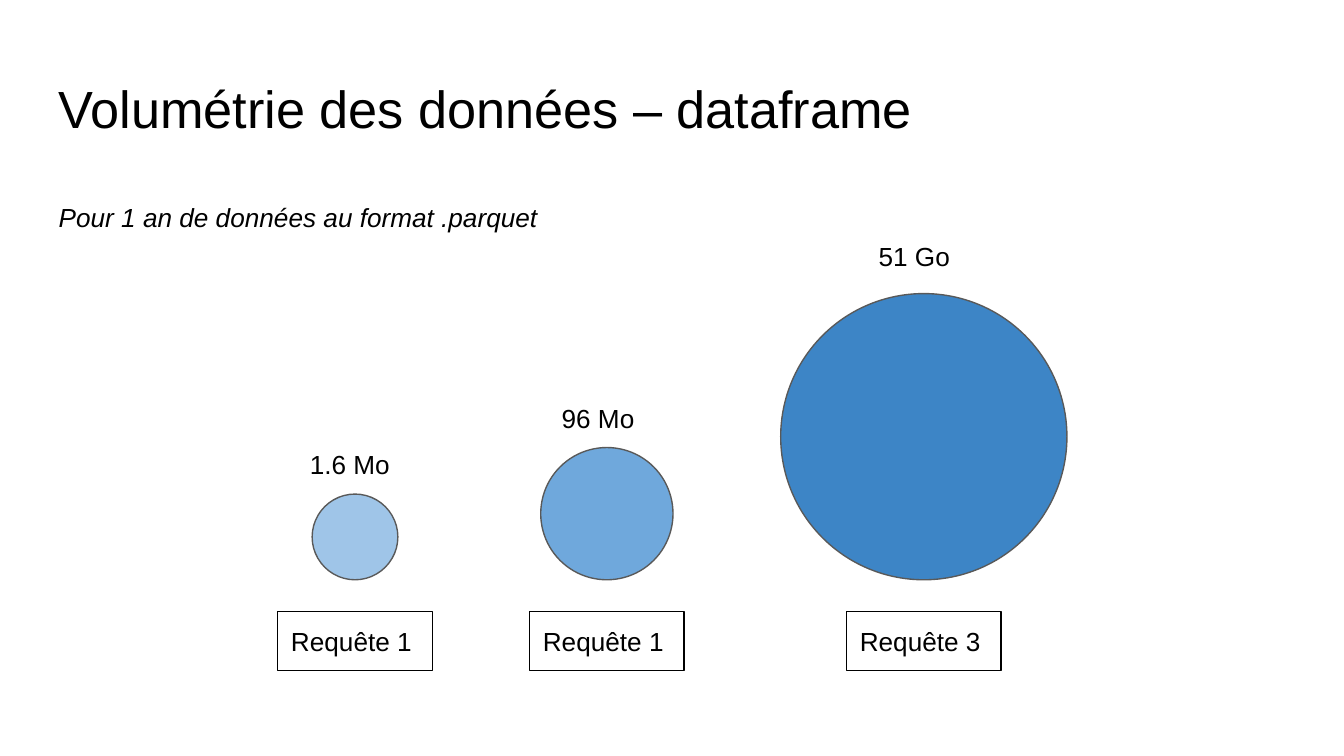
from dataclasses import dataclass

from pptx import Presentation
from pptx import util as u
from pptx.dml.color import RGBColor
from pptx.enum import shapes, text


@dataclass(frozen=True)
class Theme:
    font: str = "Arial"
    ink: str = "000000"
    outline: str = "595959"
    light_blue: str = "9FC5E8"
    mid_blue: str = "6FA8DC"
    dark_blue: str = "3D85C6"
    title_size: int = 28
    body_size: int = 14
    line_width: float = 0.75
    inset: float = 0.25


class SlideBuilder:
    """Draws on one slide; every length is in centimetres."""

    def __init__(self, slide, theme):
        self.slide = slide
        self.theme = theme

    def _style(self, paragraph, size, italic=False):
        for run in paragraph.runs:
            run.font.name = self.theme.font
            run.font.size = u.Pt(size)
            run.font.italic = italic
            run.font.color.rgb = RGBColor.from_string(self.theme.ink)

    def _prepare(self, frame, anchor):
        frame.word_wrap = True
        frame.vertical_anchor = anchor
        frame.margin_left = frame.margin_right = u.Cm(self.theme.inset)
        frame.margin_top = frame.margin_bottom = u.Cm(self.theme.inset)

    def _outlined(self, kind, box, line, fill=None):
        shape = self.slide.shapes.add_shape(kind, *map(u.Cm, box))
        shape.shadow.inherit = False
        if fill:
            shape.fill.solid()
            shape.fill.fore_color.rgb = RGBColor.from_string(fill)
        else:
            shape.fill.background()
        shape.line.color.rgb = RGBColor.from_string(line)
        shape.line.width = u.Pt(self.theme.line_width)
        return shape

    def heading(self, title, subtitle, box, gap):
        frame = self.slide.shapes.add_textbox(*map(u.Cm, box)).text_frame
        self._prepare(frame, text.MSO_ANCHOR.TOP)
        frame.text = title
        self._style(frame.paragraphs[0], self.theme.title_size)
        note = frame.add_paragraph()
        note.text = subtitle
        note.space_before = u.Pt(gap)
        self._style(note, self.theme.body_size, italic=True)

    def circle(self, center, bottom, diameter, fill):
        box = (center - diameter / 2, bottom - diameter, diameter, diameter)
        self._outlined(shapes.MSO_SHAPE.OVAL, box, self.theme.outline, fill)

    def label(self, caption, box):
        frame = self.slide.shapes.add_textbox(*map(u.Cm, box)).text_frame
        self._prepare(frame, text.MSO_ANCHOR.MIDDLE)
        frame.text = caption
        self._style(frame.paragraphs[0], self.theme.body_size)

    def framed_label(self, caption, box):
        frame = self._outlined(shapes.MSO_SHAPE.RECTANGLE, box, self.theme.ink).text_frame
        self._prepare(frame, text.MSO_ANCHOR.MIDDLE)
        frame.text = caption
        frame.paragraphs[0].alignment = text.PP_ALIGN.LEFT
        self._style(frame.paragraphs[0], self.theme.body_size)


def main():
    deck = Presentation()
    deck.slide_width, deck.slide_height = u.Cm(25.4), u.Cm(14.29)
    theme = Theme()
    builder = SlideBuilder(deck.slides.add_slide(deck.slide_layouts[6]), theme)

    builder.heading(
        "Volumétrie des données – dataframe",
        "Pour 1 an de données au format .parquet",
        (0.86, 1.2, 23.67, 3.2),
        gap=33,
    )

    baseline, query_top = 10.96, 11.56
    label_height, volume_width, query_width = 1.12, 2.21, 2.92
    # query, volume, centre, diameter, gap between volume and circle, fill
    queries = [
        ("Requête 1", "1.6 Mo", 6.71, 1.62, 0, theme.light_blue),
        ("Requête 1", "96 Mo", 11.47, 2.5, 0, theme.mid_blue),
        ("Requête 3", "51 Go", 17.46, 5.41, 0.15, theme.dark_blue),
    ]
    for query, volume, center, diameter, gap, fill in queries:
        builder.circle(center, baseline, diameter, fill)
        builder.framed_label(
            query, (center - query_width / 2, query_top, query_width, label_height)
        )
        volume_top = baseline - diameter - gap - label_height
        builder.label(
            volume, (center - volume_width / 2, volume_top, volume_width, label_height)
        )

    deck.save("out.pptx")


if __name__ == "__main__":
    main()
